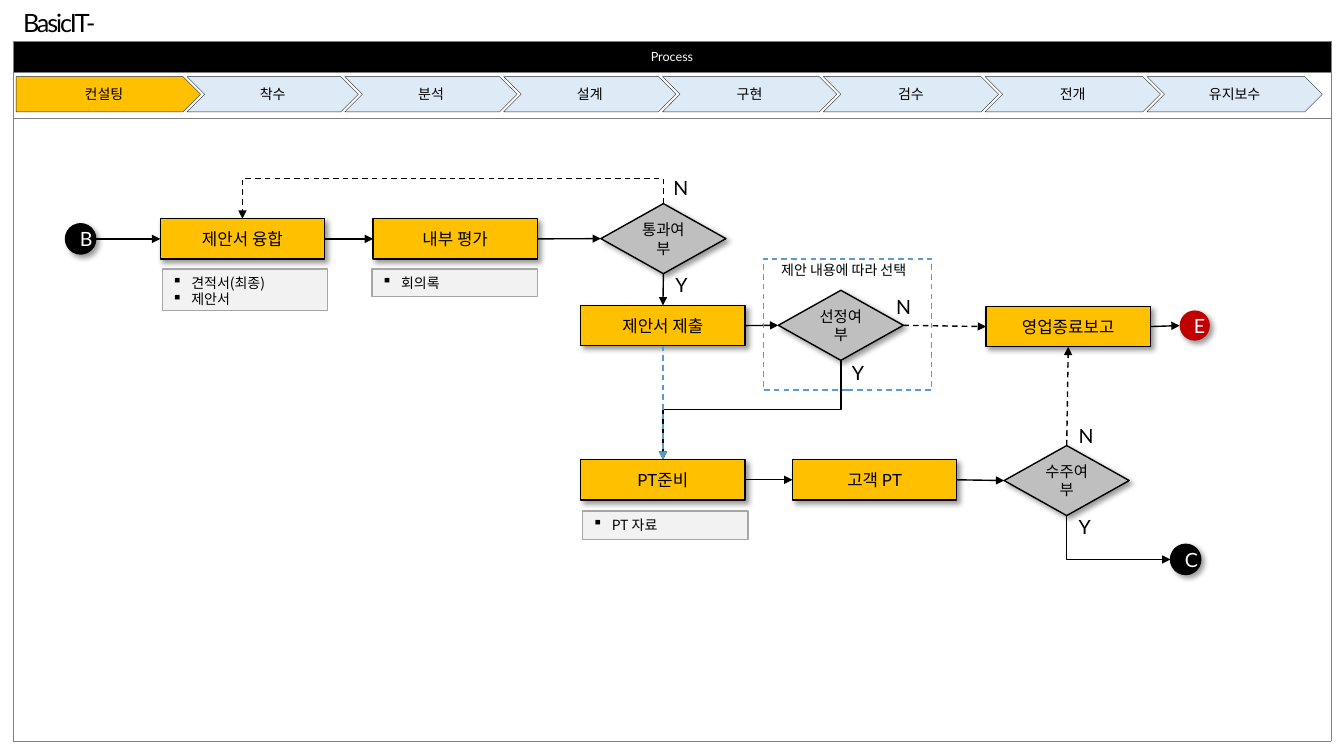
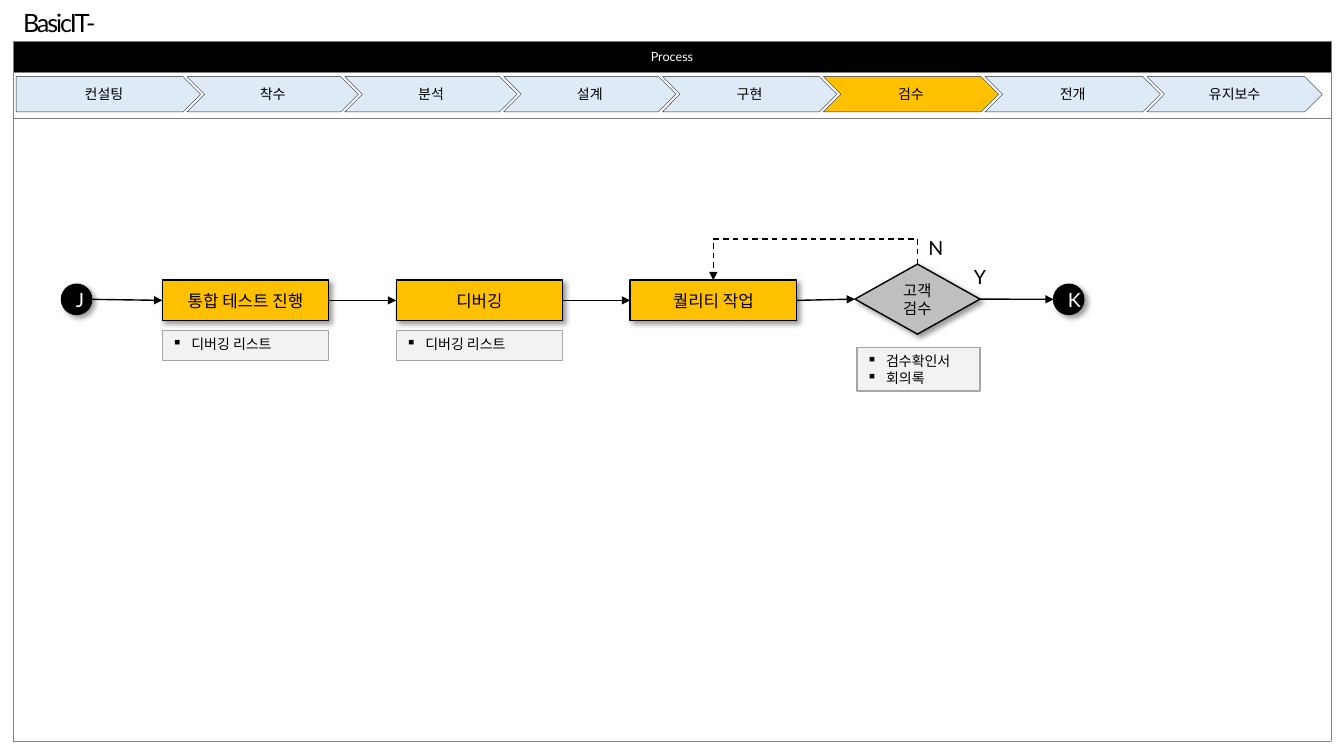
from lxml.etree import SubElement
from pptx import Presentation
from pptx.dml.color import RGBColor
from pptx.enum.dml import MSO_LINE
from pptx.enum.shapes import MSO_CONNECTOR, MSO_SHAPE
from pptx.enum.text import MSO_ANCHOR, MSO_AUTO_SIZE, PP_ALIGN
from pptx.oxml.ns import qn
from pptx.util import Inches, Pt

COLORS = {
    "black": "000000", "white": "FFFFFF", "amber": "FFC000", "pale": "DEEBF7",
    "navy": "222A35", "gray": "BFBFBF", "light": "F2F2F2", "edge": "A6A6A6",
    "frame": "808080", "blue": "5B9BD5", "red": "C00000",
}
LATIN, KOREAN = "Lato", "Noto Sans CJK KR"
# name -> font attributes
FORMATS = {
    "title": {"size": Pt(18), "name": LATIN},
    "header": {"size": Pt(9), "name": LATIN},
    "phase": {"size": Pt(10), "name": LATIN},
    "process": {"size": Pt(12), "name": LATIN},
    "decision": {"size": Pt(11), "name": LATIN},
    "terminal": {"size": Pt(14), "name": LATIN},
    "note": {"size": Pt(10), "name": KOREAN},
}
PHASES = [("컨설팅", 18.3), ("착수", 17), ("분석", 17.1), ("설계", 17.1),
          ("구현", 17.3), ("검수", 17.4), ("전개", 17.4), ("유지보수", 17.4)]
PHASE_OVERLAP = 1.35
TOP, LEFT, BOTTOM, RIGHT = range(4)
CELL = Inches(0.1)  # side of one square grid cell


def grid(*cells):
    """Turn counts of grid columns or rows into lengths."""
    return [round(count * CELL) for count in cells]


def color(name):
    return RGBColor.from_string(COLORS[name])


class Deck:
    def __init__(self):
        self.presentation = Presentation()
        self.presentation.slide_width = Inches(13.33)
        self.presentation.slide_height = Inches(7.5)
        self.slide = None

    # Shared frame: table, phase band and title
    def new_slide(self, active_phase):
        self.slide = self.presentation.slides.add_slide(self.presentation.slide_layouts[6])
        self.frame()
        column = 1.6
        for index, (name, width) in enumerate(PHASES):
            kind = MSO_SHAPE.CHEVRON if index else MSO_SHAPE.PENTAGON
            fill = "amber" if name == active_phase else "pale"
            shape = self.shape(kind, (column, 7.6, width, 3.5), fill, "navy", 0.25)
            self.fill_text(shape.text_frame, [name], "phase")
            column += width - PHASE_OVERLAP
        title = self.label("BasicIT-", 1.3, 0.2, 16.5, 4, "title")
        title.word_wrap = True
        title.paragraphs[0].runs[0]._r.get_or_add_rPr().set("spc", "-150")

    def frame(self):
        table = self.slide.shapes.add_table(3, 1, *grid(1.3, 4.1, 130.7, 69.4)).table
        table.first_row = table.horz_banding = False
        for row, height in zip(table.rows, grid(3.1, 4.5, 61.8)):
            row.height = height
            cell = row.cells[0]
            properties = cell._tc.get_or_add_tcPr()
            for side in ("lnL", "lnR", "lnT", "lnB"):
                border = SubElement(properties, qn(f"a:{side}"), w=str(Pt(0.5)))
                solid = SubElement(border, qn("a:solidFill"))
                SubElement(solid, qn("a:srgbClr"), val=COLORS["frame"])
            cell.fill.background()
        header = table.cell(0, 0)
        header.fill.solid()
        header.fill.fore_color.rgb = color("black")
        header.vertical_anchor = MSO_ANCHOR.MIDDLE
        self.fill_text(header.text_frame, ["Process"], "header", "white")

    # Text
    def fill_text(self, text_frame, lines, style, ink="black", align=PP_ALIGN.CENTER, bullet=None):
        for index, line in enumerate(lines):
            paragraph = text_frame.add_paragraph() if index else text_frame.paragraphs[0]
            paragraph.alignment = align
            if bullet:
                properties = paragraph._p.get_or_add_pPr()
                properties.set("marL", str(Inches(0.19)))
                properties.set("indent", str(-Inches(0.19)))
                SubElement(properties, qn("a:buChar"), char=bullet)
            run = paragraph.add_run()
            run.text = line
            run.font.color.rgb = color(ink)
            for name, value in FORMATS[style].items():
                setattr(run.font, name, value)
            SubElement(run._r.get_or_add_rPr(), qn("a:ea"), typeface=KOREAN)

    def label(self, text, column, row, width=3.4, height=3.4, style="terminal"):
        box = self.slide.shapes.add_textbox(*grid(column, row, width, height))
        text_frame = box.text_frame
        text_frame.word_wrap = False
        text_frame.auto_size = MSO_AUTO_SIZE.SHAPE_TO_FIT_TEXT
        self.fill_text(text_frame, [text], style, align=PP_ALIGN.LEFT)
        return text_frame

    # Shapes
    def shape(self, kind, place, fill, line, weight=1, shadow=False):
        shape = self.slide.shapes.add_shape(kind, *grid(*place))
        shape.shadow.inherit = False
        if fill:
            shape.fill.solid()
            shape.fill.fore_color.rgb = color(fill)
        else:
            shape.fill.background()
        if line:
            shape.line.color.rgb = color(line)
            shape.line.width = Pt(weight)
        else:
            shape.line.fill.background()
        if shadow:
            effects = shape._element.spPr.find(qn("a:effectLst"))
            outer = SubElement(effects, qn("a:outerShdw"), blurRad=str(Pt(4)), dist=str(Pt(3)),
                               dir="2700000", algn="tl", rotWithShape="0")
            tint = SubElement(outer, qn("a:srgbClr"), val=COLORS["black"])
            SubElement(tint, qn("a:alpha"), val="40000")
        return shape

    def process(self, text, column, row, width=16.3):
        shape = self.shape(MSO_SHAPE.RECTANGLE, (column, row, width, 4), "amber", "black", shadow=True)
        self.fill_text(shape.text_frame, [text], "process")
        return shape

    def decision(self, lines, column, row):
        shape = self.shape(MSO_SHAPE.DIAMOND, (column, row, 12.4, 6.95), "gray", "black", shadow=True)
        self.fill_text(shape.text_frame, lines, "decision")
        return shape

    def terminal(self, letter, column, row, fill="black", line="black"):
        shape = self.shape(MSO_SHAPE.OVAL, (column, row, 3, 3), fill, line, shadow=True)
        self.fill_text(shape.text_frame, [letter], "terminal", "white")
        return shape

    def note(self, lines, column, row, width, height):
        shape = self.shape(MSO_SHAPE.RECTANGLE, (column, row, width, height), "light", "edge")
        shape.text_frame.vertical_anchor = MSO_ANCHOR.TOP
        self.fill_text(shape.text_frame, lines, "note", align=PP_ALIGN.LEFT, bullet="▪")

    def choice_area(self, text, column, row, width, height):
        area = self.shape(MSO_SHAPE.RECTANGLE, (column, row, width, height), None, "blue")
        area.line.dash_style = MSO_LINE.DASH
        self.label(text, column + 0.8, row - 0.2, 14.9, 2.7, "note")

    # Arrows
    @staticmethod
    def side_point(shape, side):
        across, down = {TOP: (0.5, 0), LEFT: (0, 0.5), BOTTOM: (0.5, 1), RIGHT: (1, 0.5)}[side]
        return round(shape.left + across * shape.width), round(shape.top + down * shape.height)

    def arrow(self, start, start_side, end, end_side, dash=False, ink="black",
              kind=MSO_CONNECTOR.STRAIGHT):
        connector = self.slide.shapes.add_connector(
            kind, *self.side_point(start, start_side), *self.side_point(end, end_side))
        # Ovals number their sites differently, so only other shapes are joined
        if start.auto_shape_type != MSO_SHAPE.OVAL:
            connector.begin_connect(start, start_side)
        if end.auto_shape_type != MSO_SHAPE.OVAL:
            connector.end_connect(end, end_side)
        connector.line.color.rgb = color(ink)
        connector.line.width = Pt(1)
        if dash:
            connector.line.dash_style = MSO_LINE.DASH
        properties = connector._element.spPr
        SubElement(properties.find(qn("a:ln")), qn("a:tailEnd"), type="triangle")
        SubElement(properties, qn("a:effectLst"))
        return connector

    def elbow(self, start, start_side, end, end_side, bend=None, dash=False):
        """Leave vertically; turn after `bend` rows, or once only when None."""
        connector = self.arrow(start, start_side, end, end_side, dash, kind=MSO_CONNECTOR.ELBOW)
        (x1, y1), (x2, y2) = self.side_point(start, start_side), self.side_point(end, end_side)
        drop, reach = abs(y2 - y1), abs(x2 - x1)
        # A quarter turn swaps width and height around the centre
        connector.left, connector.top = (x1 + x2 - drop) // 2, (y1 + y2 - reach) // 2
        connector.width, connector.height = drop, reach
        properties = connector._element.spPr
        transform = properties.find(qn("a:xfrm"))
        for name, value in {"rot": "5400000", "flipH": "0", "flipV": str(int(x2 > x1))}.items():
            transform.set(name, value)
        geometry = properties.find(qn("a:prstGeom"))
        if bend is None:
            geometry.set("prst", "bentConnector2")
        else:
            share = round(bend * CELL / drop * 100000)
            SubElement(geometry.find(qn("a:avLst")), qn("a:gd"), name="adj1", fmla=f"val {share}")


def consulting_slide(deck):
    deck.new_slide("컨설팅")
    # Proposal and internal review
    entry = deck.terminal("B", 6.5, 22.2)
    merge = deck.process("제안서 융합", 15.9, 21.7)
    review = deck.process("내부 평가", 37, 21.7)
    passed = deck.decision(["통과여부"], 59.6, 20.2)
    deck.note(["회의록"], 36.9, 26.7, 16.4, 2.7)
    deck.note(["견적서(최종)", "제안서"], 16.1, 26.7, 16.4, 4.1)
    # Submission and selection
    submit = deck.process("제안서 제출", 57.6, 30.3)
    selected = deck.decision(["선정여부"], 77.2, 28.8)
    report = deck.process("영업종료보고", 97.8, 30.4)
    finish = deck.terminal("E", 117, 30.8, "red", None)
    # Presentation and order
    prepare = deck.process("PT준비", 57.6, 45.6)
    deck.note(["PT 자료"], 57.8, 50.7, 16.4, 2.8)
    present = deck.process("고객 PT", 78.6, 45.6)
    won = deck.decision(["수주여부"], 99.6, 44.2)
    onward = deck.terminal("C", 116.1, 54)
    # Flow
    for start, end in [(entry, merge), (merge, review), (review, passed), (submit, selected),
                       (report, finish), (prepare, present), (present, won)]:
        deck.arrow(start, RIGHT, end, LEFT)
    deck.arrow(passed, BOTTOM, submit, TOP)
    deck.arrow(selected, RIGHT, report, LEFT, dash=True)
    deck.arrow(won, TOP, report, BOTTOM, dash=True)
    deck.elbow(passed, TOP, merge, TOP, bend=-2.5, dash=True)
    deck.elbow(selected, BOTTOM, prepare, TOP, bend=4.9)
    deck.elbow(won, BOTTOM, onward, LEFT)
    deck.choice_area("제안 내용에 따라 선택", 75.7, 25.7, 16.7, 13)
    deck.arrow(submit, BOTTOM, prepare, TOP, dash=True, ink="blue")
    for answer, column, row in [("Y", 66, 26.6), ("N", 65.8, 17), ("Y", 83.5, 35.3),
                                ("N", 87.9, 28.8), ("Y", 106, 50.6), ("N", 106, 41.6)]:
        deck.label(answer, column, row)


def inspection_slide(deck):
    deck.new_slide("검수")
    entry = deck.terminal("J", 6.1, 28.2)
    names = ["통합 테스트 진행", "디버깅", "퀄리티 작업"]
    columns = [16.1 + 23.2 * index for index in range(len(names))]
    test, debug, quality = [deck.process(name, column, 27.8, 16.5)
                            for name, column in zip(names, columns)]
    for column in columns[:2]:
        deck.note(["디버깅 리스트"], column, 32.8, 16.5, 3)
    accepted = deck.decision(["고객", "검수"], 84.8, 26.2)
    deck.note(["검수확인서", "회의록"], 85, 34.5, 12.2, 4.3)
    onward = deck.terminal("K", 104.5, 28.2)
    # Flow
    steps = [entry, test, debug, quality, accepted, onward]
    for start, end in zip(steps, steps[1:]):
        deck.arrow(start, RIGHT, end, LEFT)
    deck.elbow(accepted, TOP, quality, TOP, bend=-2.5, dash=True)
    deck.label("Y", 95.6, 25.8)
    deck.label("N", 91.1, 22.9)


def main():
    deck = Deck()
    consulting_slide(deck)
    inspection_slide(deck)
    deck.presentation.save("out.pptx")


if __name__ == "__main__":
    main()
